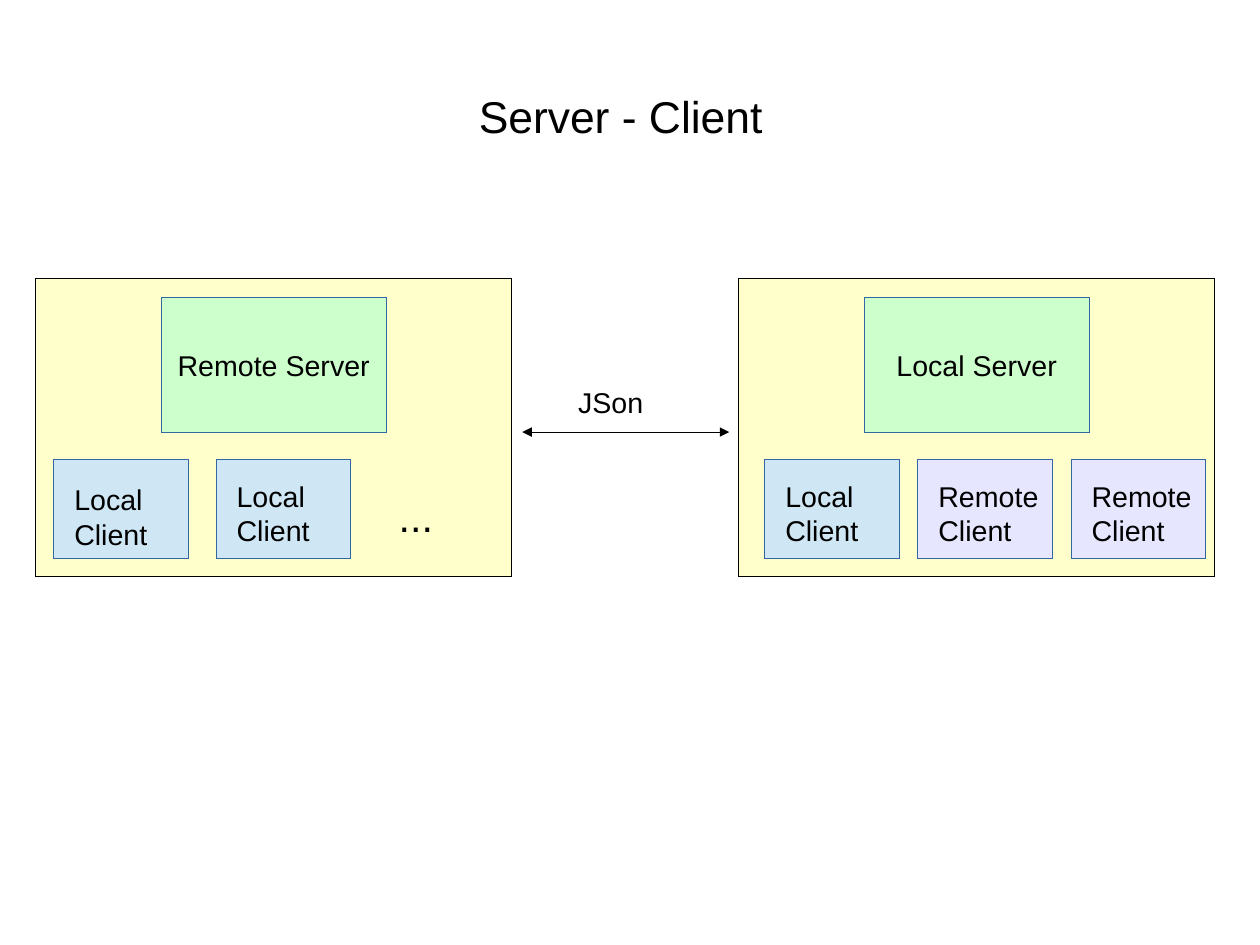
from lxml import etree
from pptx import Presentation
from pptx.dml.color import RGBColor as RGB
from pptx.enum.shapes import MSO_CONNECTOR as Line, MSO_SHAPE as Shape
from pptx.enum.text import MSO_ANCHOR as Anchor, PP_ALIGN as Align
from pptx.oxml.ns import qn
from pptx.util import Inches, Pt

HUES = {
    "text": "000000",
    "edge": "3465A4",
    "host": "FFFFCC",
    "server": "CCFFCC",
    "local": "CFE7F5",
    "remote": "E6E6FF",
}
HAIR = Pt(0.01)  # a width of zero would fall back to the theme's line


def hue(name):
    return RGB.from_string(HUES[name])


def write(frame, lines, size=18, align=Align.LEFT):
    for i, line in enumerate(lines):
        para = frame.add_paragraph() if i else frame.paragraphs[0]
        para.text = line
        para.alignment = align
        para.font.size = Pt(size)
        para.font.name = "Arial"
        para.font.color.rgb = hue("text")


def label(slide, x, y, w, h, text, size=18):
    box = slide.shapes.add_textbox(Inches(x), Inches(y), Inches(w), Inches(h))
    box.text_frame.word_wrap = True
    write(box.text_frame, [text], size)


def block(slide, x, y, w, h, fill, edge="edge"):
    rect = slide.shapes.add_shape(
        Shape.RECTANGLE, Inches(x), Inches(y), Inches(w), Inches(h))
    rect.shadow.inherit = False
    rect.fill.solid()
    rect.fill.fore_color.rgb = hue(fill)
    rect.line.color.rgb = hue(edge)
    rect.line.width = HAIR
    return rect


def client(slide, x, y, kind, top):
    frame = block(slide, x, y, 1.18, 0.87, kind).text_frame
    frame.vertical_anchor = Anchor.TOP
    frame.margin_left = Inches(0.18)
    frame.margin_top = Inches(top)
    frame.margin_right = frame.margin_bottom = 0
    write(frame, [kind.title(), "Client"])


def host(slide, x, y, name, clients):
    """Draw a host: its server above a row of (offset, kind, text top)."""
    block(slide, x, y, 4.17, 2.6, "host", "text")
    frame = block(slide, x + 1.1, y + 0.16, 1.97, 1.18, "server").text_frame
    frame.word_wrap = False
    frame.vertical_anchor = Anchor.MIDDLE
    write(frame, [name], align=Align.CENTER)
    for dx, kind, top in clients:
        client(slide, x + dx, y + 1.58, kind, top)


def link(slide, x, y, w, text):
    """Draw a two-way arrow with its label above."""
    arrow = slide.shapes.add_connector(
        Line.STRAIGHT, Inches(x), Inches(y), Inches(x + w), Inches(y))
    arrow.line.color.rgb = hue("text")
    arrow.line.width = HAIR
    stroke = arrow.line._get_or_add_ln()
    for end in ("a:headEnd", "a:tailEnd"):
        etree.SubElement(stroke, qn(end), type="triangle")
    etree.SubElement(arrow._element.spPr, qn("a:effectLst"))
    label(slide, x + 0.39, y - 0.46, 1.02, 0.38, text)


def main():
    # A page of 28 by 21 centimetres
    deck = Presentation()
    deck.slide_width, deck.slide_height = Inches(28 / 2.54), Inches(21 / 2.54)
    slide = deck.slides.add_slide(deck.slide_layouts[6])

    # Title
    label(slide, 4.09, 0.73, 4.65, 0.53, "Server - Client", 28)

    # Remote host, with more clients implied
    host(slide, 0.31, 2.44, "Remote Server",
         [(0.16, "local", 0.2), (1.58, "local", 0.17)])
    label(slide, 3.39, 4.25, 1.02, 0.5, "...", 26)

    # Link between the hosts
    link(slide, 4.57, 3.78, 1.81, "JSon")

    # Local host
    kinds = ["local", "remote", "remote"]
    host(slide, 6.46, 2.44, "Local Server",
         [(0.23 + 1.34 * i, kind, 0.17) for i, kind in enumerate(kinds)])

    deck.save("out.pptx")


if __name__ == "__main__":
    main()
